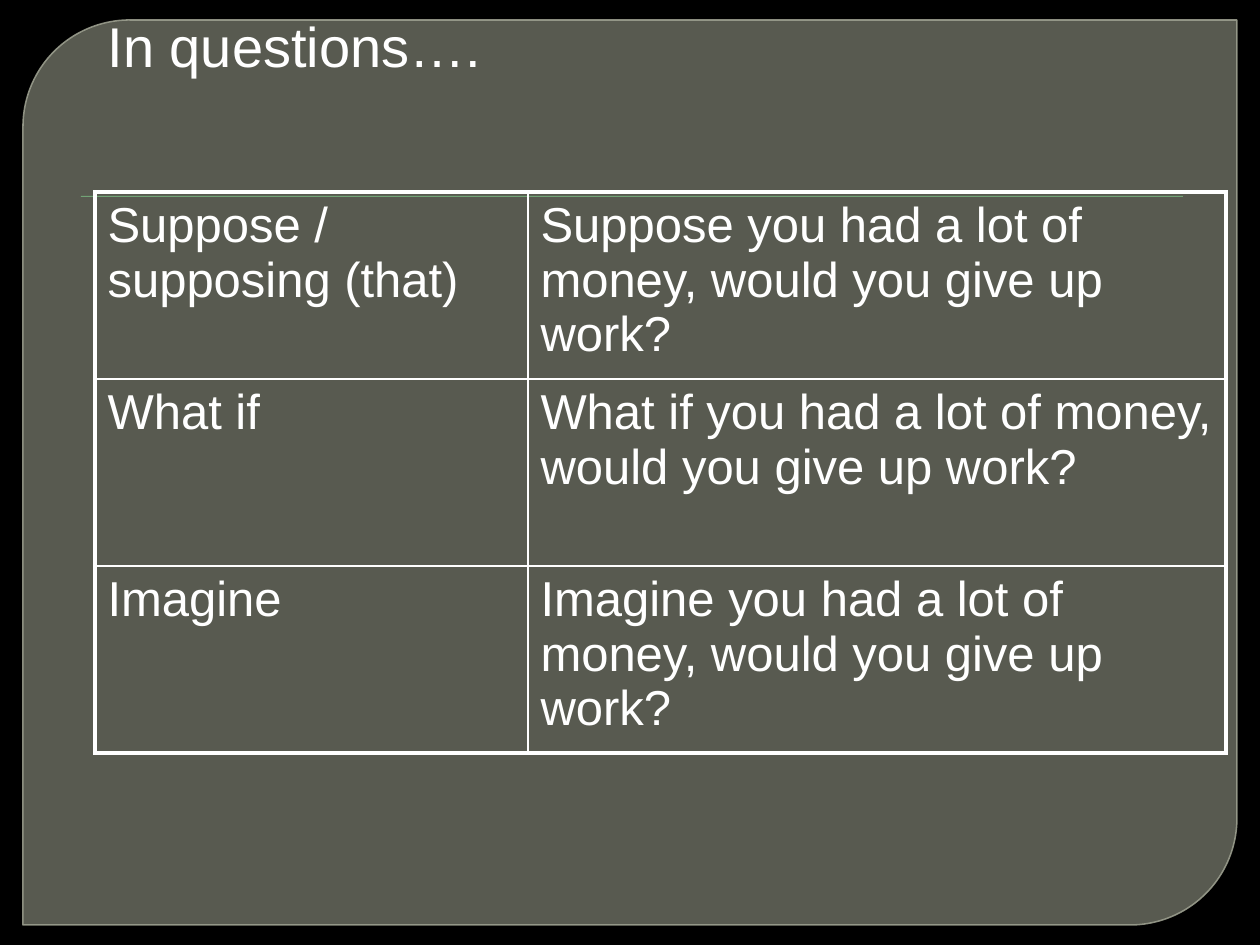
import lxml.etree
import pptx
import pptx.dml.color
import pptx.enum.shapes
import pptx.enum.text
import pptx.oxml
import pptx.oxml.ns
import pptx.util

PIXEL = 914400 // 126
FONT = "Arial"
BLACK = pptx.dml.color.RGBColor(0x00, 0x00, 0x00)
WHITE = pptx.dml.color.RGBColor(0xFF, 0xFF, 0xFF)
PANEL_FILL = pptx.dml.color.RGBColor(0x88, 0x8B, 0x7B)
PANEL_LINE = pptx.dml.color.RGBColor(0x9D, 0xA0, 0x90)
RULE_GREEN = pptx.dml.color.RGBColor(0x72, 0xA3, 0x76)
OUTER_BORDER, INNER_BORDER = 2.25, 1
QUESTIONS = [
    ("Suppose / supposing (that)",
     "Suppose you had a lot of money, would you give up work?"),
    ("What if", "What if you had a lot of money, would you give up work?"),
    ("Imagine", "Imagine you had a lot of money, would you give up work?"),
]


def to_emu(*pixels):
    """Turn pixel lengths into EMU."""
    return [pixel * PIXEL for pixel in pixels]


def set_opacity(color_format_fill, percent):
    """Give a solid fill element an opacity in percent."""
    color = color_format_fill.find(pptx.oxml.ns.qn("a:srgbClr"))
    alpha = lxml.etree.SubElement(color, pptx.oxml.ns.qn("a:alpha"))
    alpha.set("val", str(percent * 1000))


def format_text(text_frame, size):
    """Set font, size and colour on every run, aligned left."""
    for paragraph in text_frame.paragraphs:
        paragraph.alignment = pptx.enum.text.PP_ALIGN.LEFT
        for run in paragraph.runs:
            run.font.name = FONT
            run.font.size = pptx.util.Pt(size)
            run.font.color.rgb = WHITE


def add_panel(slide, left, top, width, height):
    """Draw the translucent panel with two opposite round corners."""
    panel = slide.shapes.add_shape(
        pptx.enum.shapes.MSO_SHAPE.ROUND_2_DIAG_RECTANGLE,
        *to_emu(left, top, width, height))
    panel.shadow.inherit = False
    panel.adjustments[0] = 0.118
    panel.adjustments[1] = 0
    panel.fill.solid()
    panel.fill.fore_color.rgb = PANEL_FILL
    panel.line.color.rgb = PANEL_LINE
    panel.line.width = pptx.util.Pt(0.87)
    properties = panel.element.spPr
    fill_tag = pptx.oxml.ns.qn("a:solidFill")
    set_opacity(properties.find(fill_tag), 65)
    set_opacity(properties.find(pptx.oxml.ns.qn("a:ln")).find(fill_tag), 88)


def add_rule(slide, left, top, width, height):
    """Draw the thin green bar below the title area."""
    rule = slide.shapes.add_shape(
        pptx.enum.shapes.MSO_SHAPE.RECTANGLE,
        *to_emu(left, top, width, height))
    rule.shadow.inherit = False
    rule.fill.solid()
    rule.fill.fore_color.rgb = RULE_GREEN
    rule.line.fill.background()


def set_borders(cell, widths):
    """Draw white cell borders; widths maps a:ln side letters to points."""
    properties = cell._tc.get_or_add_tcPr()
    for position, (side, width) in enumerate(widths.items()):
        border = pptx.oxml.parse_xml(
            f'<a:ln{side} {pptx.oxml.ns.nsdecls("a")} '
            f'w="{pptx.util.Pt(width)}"><a:solidFill>'
            f'<a:srgbClr val="{WHITE}"/></a:solidFill></a:ln{side}>')
        properties.insert(position, border)


def add_question_table(slide, left, top, column_widths, row_height):
    """Place the table of question openers and their examples."""
    row_count, column_count = len(QUESTIONS), len(column_widths)
    table = slide.shapes.add_table(
        row_count, column_count,
        *to_emu(left, top, sum(column_widths), row_height * row_count)).table
    table.first_row = table.horz_banding = False
    for column, width in zip(table.columns, to_emu(*column_widths)):
        column.width = width
    for row_index, texts in enumerate(QUESTIONS):
        for column_index, text in enumerate(texts):
            cell = table.cell(row_index, column_index)
            cell.text_frame.text = text
            format_text(cell.text_frame, 28)
            cell.fill.background()
            on_edge = {
                "L": column_index == 0,
                "R": column_index == column_count - 1,
                "T": row_index == 0,
                "B": row_index == row_count - 1,
            }
            set_borders(cell, {
                side: OUTER_BORDER if outer else INNER_BORDER
                for side, outer in on_edge.items()})


def add_title(slide, left, top, width, height):
    """Move the title placeholder to its box and bring it to the front."""
    title = slide.shapes.title
    title.left, title.top, title.width, title.height = to_emu(
        left, top, width, height)
    frame = title.text_frame
    frame.text = "In questions…."
    frame.word_wrap = False
    frame.auto_size = pptx.enum.text.MSO_AUTO_SIZE.NONE
    frame.vertical_anchor = pptx.enum.text.MSO_ANCHOR.TOP
    frame.margin_top = 11 * PIXEL
    frame.margin_bottom = 0
    format_text(frame, 32)
    slide.shapes.element.append(title.element)


def build_slide(presentation):
    """Compose the whole slide."""
    slide = presentation.slides.add_slide(presentation.slide_layouts[5])
    slide.background.fill.solid()
    slide.background.fill.fore_color.rgb = BLACK
    add_panel(slide, 23, 20, 1214, 905)
    add_rule(slide, 81, 196, 1102, 1)
    add_question_table(slide, 95, 192, (433, 698), 187)
    add_title(slide, 95, 0, 413, 79)


presentation = pptx.Presentation()
presentation.slide_width = pptx.util.Inches(10)
presentation.slide_height = pptx.util.Inches(7.5)
build_slide(presentation)
presentation.save("out.pptx")
